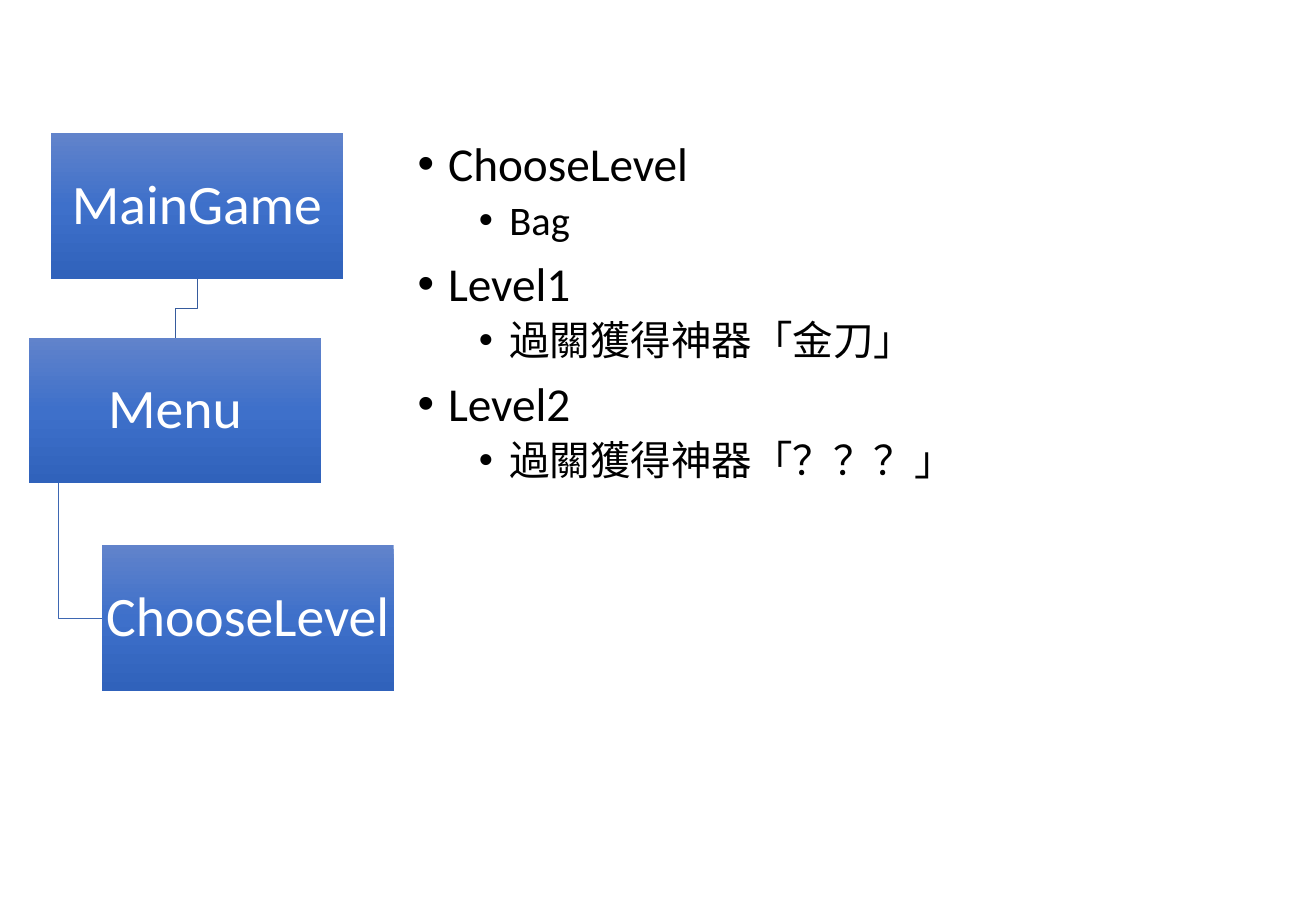
from copy import deepcopy

from lxml import etree
from pptx import Presentation
from pptx.dml.color import RGBColor
from pptx.enum.shapes import MSO_SHAPE
from pptx.enum.text import MSO_ANCHOR, PP_ALIGN
from pptx.oxml.ns import qn
from pptx.util import Cm, Pt

RECTANGLE = MSO_SHAPE.RECTANGLE
MIDDLE = MSO_ANCHOR.MIDDLE
LEFT, CENTER = PP_ALIGN.LEFT, PP_ALIGN.CENTER

FONT = "Calibri"
NODE_GRADIENT = [(0, "6183CB"), (0.5, "3E70CA"), (1, "3062BB")]
NODE_WIDTH, NODE_HEIGHT = Cm(6.1), Cm(3.05)
INDENT = Cm(0.64)
LEVEL_STYLES = [(28, 10, INDENT), (24, 5, 3 * INDENT)]  # size, space before, margin

SCENES = [  # name, offset from the left and top of the tree
    ("MainGame", Cm(0.46), Cm(0)),
    ("Menu", Cm(0), Cm(4.27)),
    ("ChooseLevel", Cm(1.52), Cm(8.61)),
]
OUTLINE = [
    ("ChooseLevel", "Bag"),
    ("Level1", "過關獲得神器「金刀」"),
    ("Level2", "過關獲得神器「？？？」"),
]


def color(hex_code):
    return RGBColor.from_string(hex_code)


def style_paragraph(paragraph, text, size, font_color, alignment):
    paragraph.text = text
    paragraph.alignment = alignment
    paragraph.line_spacing = 0.9
    paragraph.font.name = FONT
    paragraph.font.size = Pt(size)
    paragraph.font.color.rgb = color(font_color)


def fill_gradient(shape, stops):
    """Fill the shape from top to bottom with three or more colour stops."""
    shape.fill.gradient()
    shape.fill.gradient_angle = 270
    stop_list = shape._element.spPr.find(qn("a:gradFill")).find(qn("a:gsLst"))
    while len(stop_list) < len(stops):
        stop_list.append(deepcopy(stop_list[0]))
    for stop, (position, hex_code) in zip(shape.fill.gradient_stops, stops):
        stop.position = position
        stop.color.rgb = color(hex_code)


def add_branch(slide, points, line_color):
    builder = slide.shapes.build_freeform(*points[0])
    builder.add_line_segments(points[1:], close=False)
    branch = builder.convert_to_shape()
    branch.shadow.inherit = False
    branch.fill.background()
    branch.line.color.rgb = color(line_color)
    branch.line.width = Pt(0.5)


def add_node(slide, name, left, top):
    node = slide.shapes.add_shape(RECTANGLE, left, top, NODE_WIDTH, NODE_HEIGHT)
    node.shadow.inherit = False
    node.line.fill.background()
    fill_gradient(node, NODE_GRADIENT)
    frame = node.text_frame
    frame.word_wrap = False
    frame.vertical_anchor = MIDDLE
    frame.margin_left = frame.margin_right = Cm(0.05)
    frame.margin_top = frame.margin_bottom = Cm(0.05)
    style_paragraph(frame.paragraphs[0], name, 33, "FFFFFF", CENTER)


def add_scene_tree(slide, left, top):
    places = [(left + dx, top + dy) for _, dx, dy in SCENES]
    (game_x, game_y), (menu_x, menu_y), (choose_x, choose_y) = places

    trunk_x = menu_x + NODE_WIDTH // 10
    choose_middle = choose_y + NODE_HEIGHT // 2
    add_branch(slide, [(trunk_x, menu_y + NODE_HEIGHT), (trunk_x, choose_middle),
                       (choose_x, choose_middle)], "3E67B2")

    game_center, menu_center = game_x + NODE_WIDTH // 2, menu_x + NODE_WIDTH // 2
    game_bottom = game_y + NODE_HEIGHT
    bend_y = (game_bottom + menu_y) // 2
    add_branch(slide, [(game_center, game_bottom), (game_center, bend_y),
                       (menu_center, bend_y), (menu_center, menu_y)], "365B9D")

    for (name, _, _), place in zip(SCENES, places):
        add_node(slide, name, *place)


def add_bullet(paragraph, margin):
    properties = paragraph._p.get_or_add_pPr()
    properties.set("marL", str(margin))
    properties.set("indent", str(-INDENT))
    etree.SubElement(properties, qn("a:buFont")).set("typeface", "Arial")
    etree.SubElement(properties, qn("a:buChar")).set("char", "•")


def add_outline(slide, left, top, width, height):
    frame = slide.shapes.add_textbox(left, top, width, height).text_frame
    frame.word_wrap = True
    entries = [entry for group in OUTLINE for entry in enumerate(group)]
    for index, (level, text) in enumerate(entries):
        paragraph = frame.add_paragraph() if index else frame.paragraphs[0]
        size, space_before, margin = LEVEL_STYLES[level]
        style_paragraph(paragraph, text, size, "000000", LEFT)
        paragraph.level = level
        paragraph.space_before = Pt(space_before)
        add_bullet(paragraph, margin)


def main():
    presentation = Presentation()
    presentation.slide_width, presentation.slide_height = Cm(27.51), Cm(19.05)
    slide = presentation.slides.add_slide(presentation.slide_layouts[6])
    add_scene_tree(slide, Cm(0.61), Cm(2.79))
    add_outline(slide, Cm(8.48), Cm(2.82), Cm(13.67), Cm(9.45))
    presentation.save("out.pptx")


if __name__ == "__main__":
    main()
